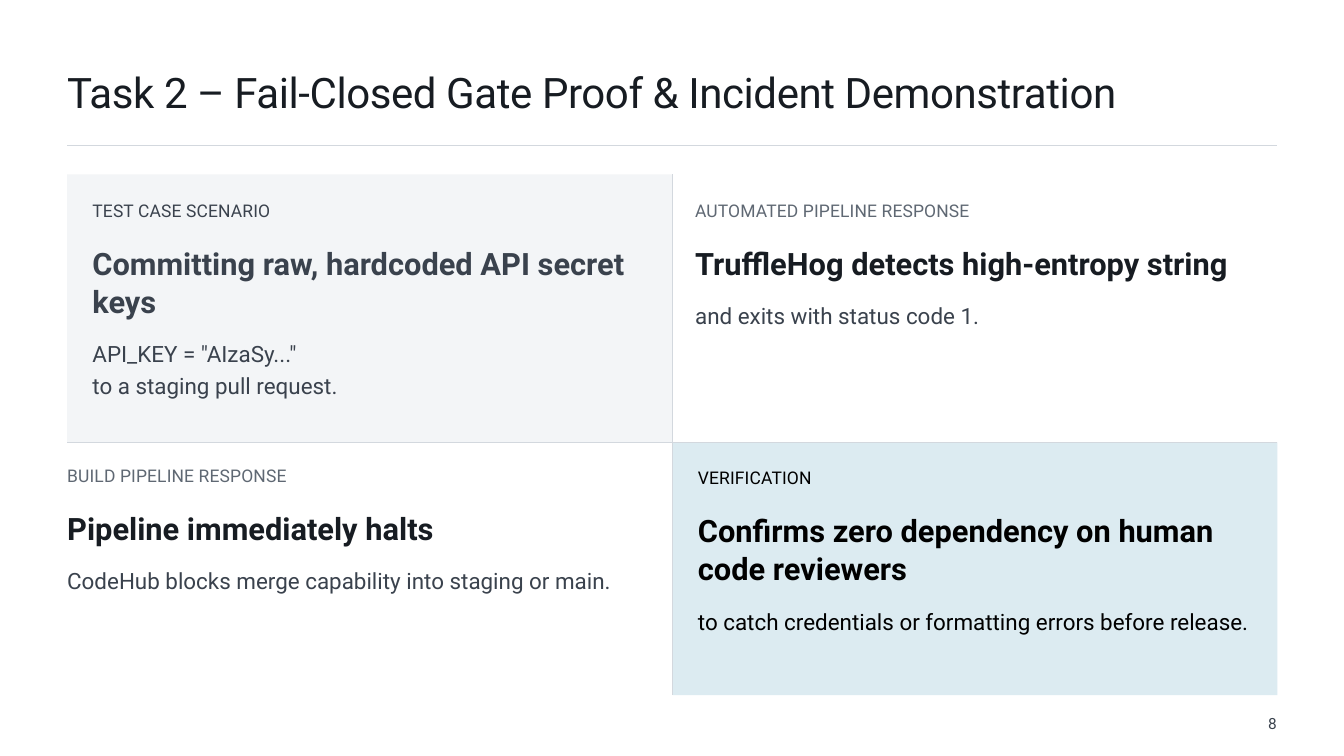
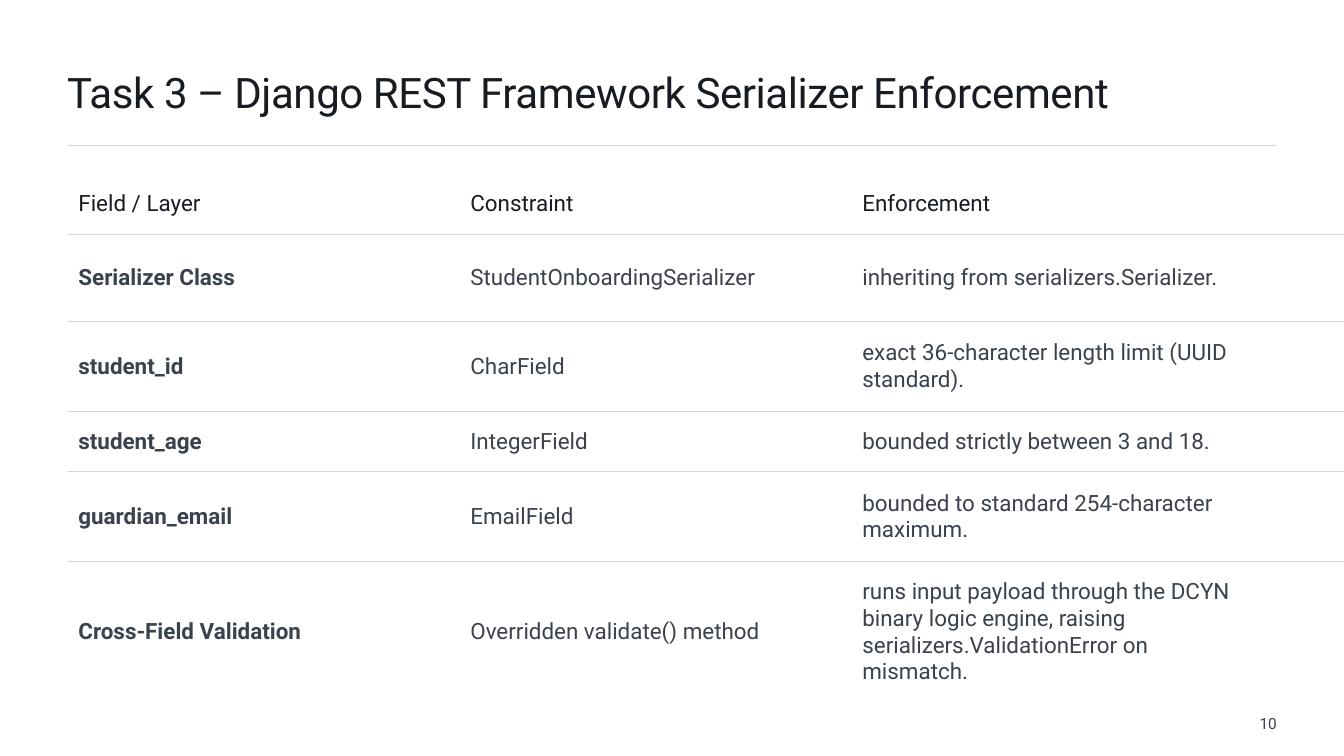
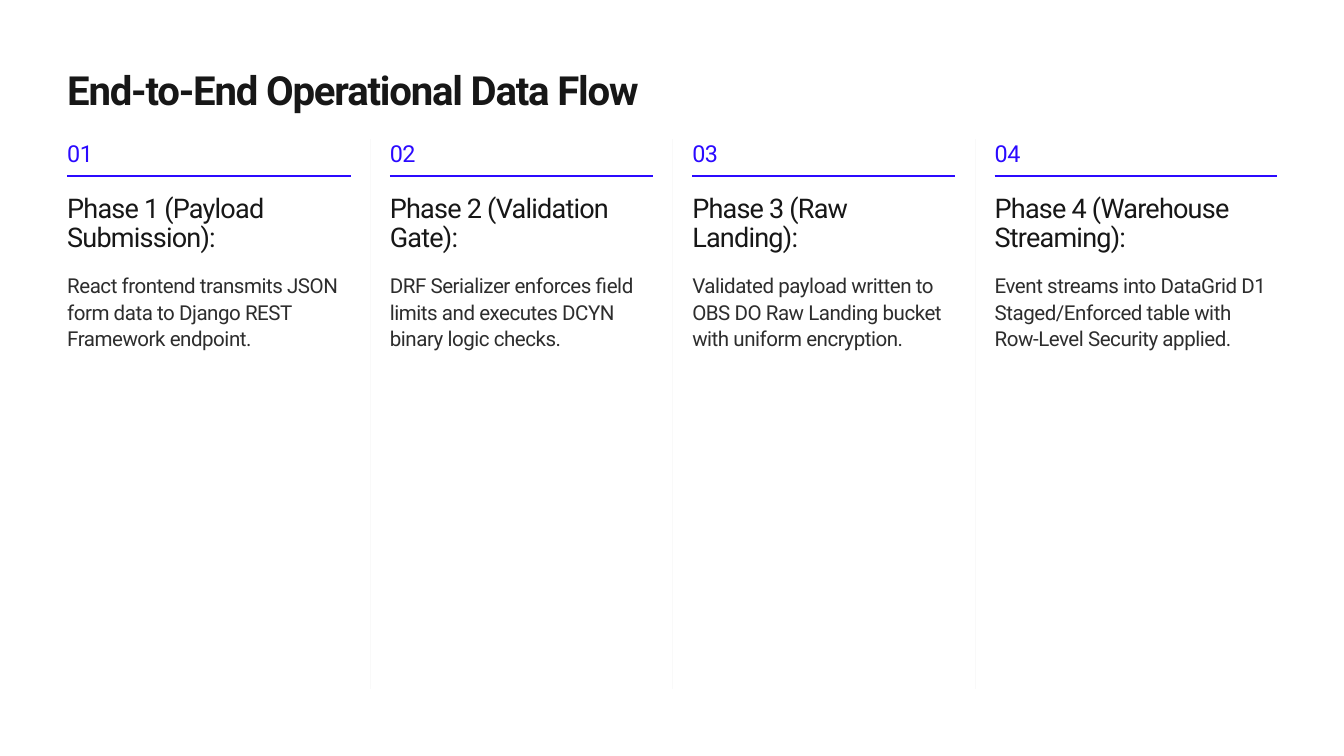
from lxml import etree
from pptx import Presentation
from pptx import util as u
from pptx.dml.color import RGBColor
from pptx.enum import shapes, text
from pptx.oxml import ns

PX = 9525
PAGE_W, PAGE_H = 1920, 1080
LEFT, RIGHT = 96, 1825
FONT = "Roboto"
WHITE = RGBColor(0xFF, 0xFF, 0xFF)
BLACK = RGBColor(0x00, 0x00, 0x00)
INK = RGBColor(0x17, 0x1C, 0x22)
SLATE = RGBColor(0x3A, 0x42, 0x4D)
MUTED = RGBColor(0x5F, 0x68, 0x73)
RULE = RGBColor(0xD3, 0xD8, 0xDE)
PANEL = RGBColor(0xF3, 0xF5, 0xF7)
ICE = RGBColor(0xDC, 0xEB, 0xF1)
BLUE = RGBColor(0x2B, 0x0A, 0xFF)
COAL = RGBColor(0x17, 0x17, 0x17)
CHARCOAL = RGBColor(0x2D, 0x2D, 0x2D)
FAINT = RGBColor(0xF9, 0xF9, 0xF9)

GATE_TITLE = "Task 2 – Fail-Closed Gate Proof & Incident Demonstration"
QUADRANTS = [
    dict(label="TEST CASE SCENARIO", heading="Committing raw, hardcoded API secret keys",
         body='API_KEY = "AIzaSy..."\nto a staging pull request.', heading_lines=2,
         pad=(36, 34), fill=PANEL, colors=(SLATE, SLATE, SLATE)),
    dict(label="AUTOMATED PIPELINE RESPONSE", heading="TruffleHog detects high-entropy string",
         body="and exits with status code 1.", heading_lines=1,
         pad=(32, 34), fill=None, colors=(MUTED, INK, SLATE)),
    dict(label="BUILD PIPELINE RESPONSE", heading="Pipeline immediately halts",
         body="CodeHub blocks merge capability into staging or main.", heading_lines=1,
         pad=(0, 30), fill=None, colors=(MUTED, INK, SLATE)),
    dict(label="VERIFICATION", heading="Confirms zero dependency on human code reviewers",
         body="to catch credentials or formatting errors before release.", heading_lines=2,
         pad=(36, 33), fill=ICE, colors=(BLACK, BLACK, BLACK)),
]

SERIALIZER_TITLE = "Task 3 – Django REST Framework Serializer Enforcement"
FIELDS = [
    ("Field / Layer", "Constraint", "Enforcement", ""),
    ("Serializer Class", "StudentOnboardingSerializer", "inheriting from serializers.Serializer.", ""),
    ("student_id", "CharField", "exact 36-character length limit (UUID standard).", ""),
    ("student_age", "IntegerField", "bounded strictly between 3 and 18.", ""),
    ("guardian_email", "EmailField", "bounded to standard 254-character maximum.", ""),
    ("Cross-Field Validation", "Overridden validate() method",
     "runs input payload through the DCYN binary logic engine, raising "
     "serializers.ValidationError on mismatch.", ""),
]
FIELD_COLS = [560, 560, 560, 144]
FIELD_ROWS = [87, 124, 129, 86, 128, 201]

FLOW_TITLE = "End-to-End Operational Data Flow"
PHASES = [
    ("Phase 1 (Payload Submission):",
     "React frontend transmits JSON form data to Django REST Framework endpoint."),
    ("Phase 2 (Validation Gate):",
     "DRF Serializer enforces field limits and executes DCYN binary logic checks."),
    ("Phase 3 (Raw Landing):",
     "Validated payload written to OBS DO Raw Landing bucket with uniform encryption."),
    ("Phase 4 (Warehouse Streaming):",
     "Event streams into DataGrid D1 Staged/Enforced table with Row-Level Security applied."),
]


def px(n):
    return u.Emu(n * PX)


def write(tf, words, size, color, leading, bold=False, spacing=0, align=None):
    for i, line in enumerate(words.split("\n")):
        p = tf.add_paragraph() if i else tf.paragraphs[0]
        p.line_spacing = u.Pt(leading)
        p.alignment = align
        r = p.add_run()
        r.text = line
        r.font.name, r.font.size, r.font.bold = FONT, u.Pt(size), bold
        r.font.color.rgb = color
        if spacing:
            r._r.get_or_add_rPr().set("spc", str(round(spacing * 100)))


def add_text(s, words, x, y, w, h, anchor=text.MSO_ANCHOR.TOP, **fmt):
    tf = s.shapes.add_textbox(px(x), px(y), px(w), px(h)).text_frame
    tf.word_wrap = True
    tf.vertical_anchor = anchor
    tf.margin_left = tf.margin_right = tf.margin_top = tf.margin_bottom = 0
    write(tf, words, **fmt)


def add_line(s, x1, y1, x2, y2, color=RULE, width=1.2):
    c = s.shapes.add_connector(shapes.MSO_CONNECTOR.STRAIGHT, px(x1), px(y1), px(x2), px(y2))
    c.line.color.rgb = color
    c.line.width = u.Pt(width)
    etree.SubElement(c._element.spPr, ns.qn("a:effectLst"))


def add_panel(s, x, y, w, h, color):
    sp = s.shapes.add_shape(shapes.MSO_SHAPE.RECTANGLE, px(x), px(y), px(w), px(h))
    sp.shadow.inherit = False
    sp.fill.solid()
    sp.fill.fore_color.rgb = color
    sp.line.fill.background()


def new_slide(prs):
    s = prs.slides.add_slide(prs.slide_layouts[6])
    add_panel(s, 0, 0, PAGE_W, PAGE_H, WHITE)
    return s


def task_slide(prs, title, number):
    s = new_slide(prs)
    add_text(s, title, LEFT, 100, RIGHT - LEFT, 63, size=45, color=INK, leading=50.2, spacing=-0.46)
    add_line(s, LEFT, 208, RIGHT, 208)
    add_text(s, number, RIGHT - 111, 1014, 110, 34, anchor=text.MSO_ANCHOR.MIDDLE,
             size=16.5, color=SLATE, leading=23.2, align=text.PP_ALIGN.RIGHT)
    return s


def gate_slide(prs):
    s = task_slide(prs, GATE_TITLE, "8")
    xs, ys = [LEFT, 961, RIGHT], [249, 632, 993]
    for i, q in enumerate(QUADRANTS):
        row, col = divmod(i, 2)
        x, y = xs[col], ys[row]
        w, h = xs[col + 1] - x, ys[row + 1] - y
        if q["fill"]:
            add_panel(s, x, y, w, h, q["fill"])
        left, top = x + q["pad"][0], y + q["pad"][1]
        text_w = w - (72 if q["fill"] else 32)
        label_c, heading_c, body_c = q["colors"]
        heading_h = 55 * q["heading_lines"]
        add_text(s, q["label"], left, top, text_w, 35,
                 size=18.75, color=label_c, leading=24.3, spacing=0.15)
        add_text(s, q["heading"], left, top + 64, text_w, heading_h,
                 size=33, color=heading_c, leading=41.2, bold=True)
        add_text(s, q["body"], left, top + 87 + heading_h, text_w, 50 * len(q["body"].split("\n")),
                 size=24, color=body_c, leading=33.7)
    for i in range(2):
        add_line(s, xs[1], ys[i], xs[1], ys[i + 1])
        add_line(s, xs[i], ys[1], xs[i + 1], ys[1], width=1.5)


def set_borders(cell, **colors):
    tcPr = cell._tc.get_or_add_tcPr()
    for i, side in enumerate("LRTB"):
        ln = etree.Element(ns.qn(f"a:ln{side}"), w=str(u.Pt(1)))
        fill = etree.SubElement(ln, ns.qn("a:solidFill"))
        etree.SubElement(fill, ns.qn("a:srgbClr"), val=str(colors.get(side, WHITE)))
        tcPr.insert(i, ln)


def serializer_slide(prs):
    s = task_slide(prs, SERIALIZER_TITLE, "10")
    table = s.shapes.add_table(len(FIELD_ROWS), len(FIELD_COLS), px(LEFT), px(248),
                               px(sum(FIELD_COLS)), px(sum(FIELD_ROWS))).table
    table.first_row = table.horz_banding = False
    for col, w in zip(table.columns, FIELD_COLS):
        col.width = px(w)
    last = len(FIELDS) - 1
    for i, (row, h, words) in enumerate(zip(table.rows, FIELD_ROWS, FIELDS)):
        row.height = px(h)
        for j, (cell, value) in enumerate(zip(row.cells, words)):
            cell.fill.background()
            cell.vertical_anchor = text.MSO_ANCHOR.MIDDLE
            cell.margin_left = cell.margin_right = cell.margin_top = cell.margin_bottom = px(16)
            set_borders(cell, T=RULE if i else WHITE, B=RULE if i < last else WHITE)
            if value:
                write(cell.text_frame, value, size=24, color=SLATE if i else INK,
                      leading=28.8, bold=i > 0 and j == 0)


def flow_slide(prs):
    s = new_slide(prs)
    add_text(s, FLOW_TITLE, LEFT, 102, 888, 62, size=43, color=COAL, leading=45.4,
             bold=True, spacing=-1.27)
    n, gap = len(PHASES), 28
    edges = [RIGHT - (RIGHT - LEFT) * (n - i) // n for i in range(n + 1)]
    for i, (heading, body) in enumerate(PHASES):
        x = edges[i] + (gap if i else 0)
        right = edges[i + 1] - (gap if i < n - 1 else 0)
        w = right - x
        add_text(s, f"{i + 1:02}", x, 205, w, 34, size=25, color=BLUE, leading=24.9, spacing=-0.5)
        add_line(s, x, 251, right, 251, color=BLUE, width=2.2)
        add_text(s, heading, x, 278, w, 83, size=29, color=COAL, leading=31.3, spacing=-0.87)
        add_text(s, body, x, 388, w, 110, size=22, color=CHARCOAL, leading=28.3, spacing=-0.47)
    for x in edges[1:-1]:
        add_line(s, x, 199, x, 985, color=FAINT)


def main():
    prs = Presentation()
    prs.slide_width, prs.slide_height = px(PAGE_W), px(PAGE_H)
    gate_slide(prs)
    serializer_slide(prs)
    flow_slide(prs)
    prs.save("out.pptx")


if __name__ == "__main__":
    main()
